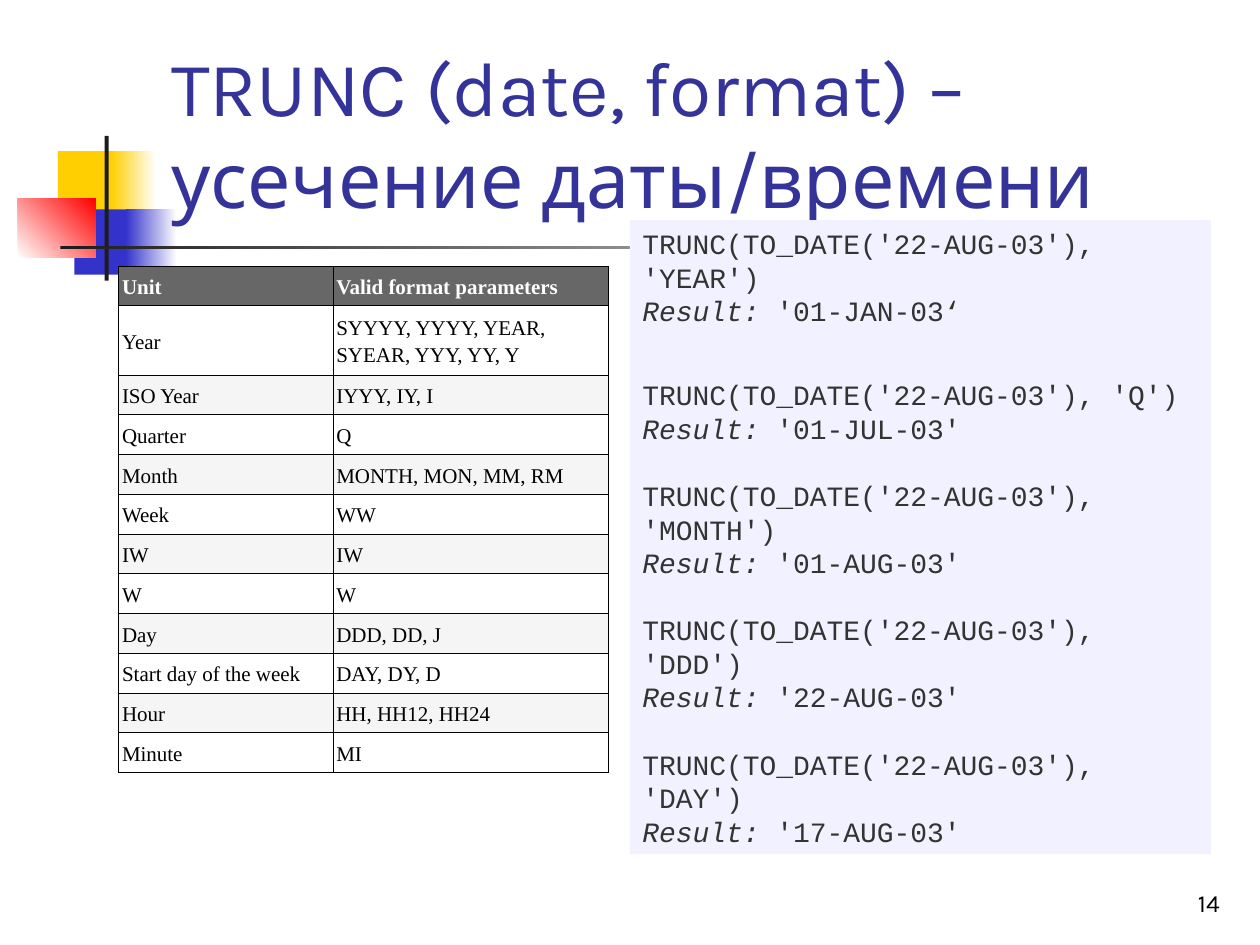
from dataclasses import dataclass

from lxml import etree
from pptx import Presentation
from pptx.dml.color import RGBColor
from pptx.enum import shapes, text
from pptx.oxml.ns import qn
from pptx.util import Cm, Pt


@dataclass(frozen=True)
class Theme:
    yellow: str = "FFCF01"
    blue: str = "3333CC"
    red: str = "FF0000"
    white: str = "FFFFFF"
    black: str = "000000"
    ink: str = "1C1C1C"
    title: str = "333399"
    header: str = "676767"
    stripe: str = "F5F5F5"
    code: str = "333333"
    code_panel: str = "F2F1FF"
    sans: str = "Karla"
    serif: str = "Times New Roman"
    mono: str = "Courier New"
    title_size: float = 44
    code_size: float = 16
    number_size: float = 14
    table_size: float = 12
    border: float = 0.45


THEME = Theme()

FORMATS = [
    ("Unit", "Valid format parameters"),
    ("Year", "SYYYY, YYYY, YEAR, SYEAR, YYY, YY, Y"),
    ("ISO Year", "IYYY, IY, I"),
    ("Quarter", "Q"),
    ("Month", "MONTH, MON, MM, RM"),
    ("Week", "WW"),
    ("IW", "IW"),
    ("W", "W"),
    ("Day", "DDD, DD, J"),
    ("Start day of the week", "DAY, DY, D"),
    ("Hour", "HH, HH12, HH24"),
    ("Minute", "MI"),
]

# Format argument, shown result, space before in points
EXAMPLES = [
    ("YEAR", "'01-JAN-03‘", 0),
    ("Q", "'01-JUL-03'", 28.8),
    ("MONTH", "'01-AUG-03'", 19.2),
    ("DDD", "'22-AUG-03'", 19.2),
    ("DAY", "'17-AUG-03'", 19.2),
]


def rgb(value):
    return RGBColor.from_string(value)


def add_span(para, words, font, size, color, bold=False, italic=False):
    span = para.add_run()
    span.text = words
    span.font.name = font
    span.font.size = Pt(size)
    span.font.color.rgb = rgb(color)
    span.font.bold = bold
    span.font.italic = italic


def add_block(page, left, top, width, height, *colors, angle=0):
    """Add a borderless rectangle: one colour is solid, two make a gradient."""
    block = page.shapes.add_shape(
        shapes.MSO_SHAPE.RECTANGLE, Cm(left), Cm(top), Cm(width), Cm(height))
    block.shadow.inherit = False
    block.line.fill.background()
    if len(colors) == 1:
        block.fill.solid()
        block.fill.fore_color.rgb = rgb(colors[0])
    else:
        block.fill.gradient()
        block.fill.gradient_angle = angle
        for stop, color in zip(block.fill.gradient_stops, colors):
            stop.color.rgb = rgb(color)
    return block


def add_emblem(page):
    t = THEME
    add_block(page, 1.17, 3.05, 1.22, 1.32, t.yellow)
    add_block(page, 2.24, 3.05, 0.91, 1.32, t.yellow, t.white)
    add_block(page, 1.5, 4.22, 1.17, 1.32, t.blue)
    add_block(page, 2.54, 4.22, 1.02, 1.32, t.blue, t.white)
    add_block(page, 0.36, 4.01, 1.57, 1.19, t.white, t.red, angle=45)
    add_block(page, 2.11, 2.74, 0.08, 2.92, t.ink)
    add_block(page, 1.22, 4.95, 22.86, 0.08, t.ink, t.white)


def set_title(page, words):
    """Fill the title placeholder and bring it in front of the emblem."""
    title = page.shapes.title
    title.left, title.top = Cm(3.2), Cm(0.58)
    title.width, title.height = Cm(21.64), Cm(4.06)
    frame = title.text_frame
    frame.word_wrap = True
    frame.auto_size = text.MSO_AUTO_SIZE.NONE
    frame.vertical_anchor = text.MSO_ANCHOR.BOTTOM
    para = frame.paragraphs[0]
    para.alignment = text.PP_ALIGN.LEFT
    add_span(para, words, THEME.sans, THEME.title_size, THEME.title)
    page.shapes.element.append(title.element)


def add_borders(cell):
    props = cell._tc.get_or_add_tcPr()
    for index, side in enumerate(("lnL", "lnR", "lnT", "lnB")):
        line = etree.Element(qn(f"a:{side}"), w=str(Pt(THEME.border)))
        fill = etree.SubElement(line, qn("a:solidFill"))
        etree.SubElement(fill, qn("a:srgbClr"), val=THEME.black)
        props.insert(index, line)


def fill_cell(cell, words, row):
    is_header = row == 0
    if is_header or row % 2 == 0:
        cell.fill.solid()
        cell.fill.fore_color.rgb = rgb(THEME.header if is_header else THEME.stripe)
    else:
        cell.fill.background()
    add_borders(cell)
    cell.vertical_anchor = text.MSO_ANCHOR.MIDDLE
    cell.margin_left = Cm(0.07)
    cell.margin_right = cell.margin_top = cell.margin_bottom = Cm(0.13)
    para = cell.text_frame.paragraphs[0]
    para.line_spacing = 1.15
    para.space_after = Pt(9.6)
    add_span(para, words, THEME.serif, THEME.table_size,
             THEME.white if is_header else THEME.black, bold=is_header)


def add_format_table(page):
    table = page.shapes.add_table(
        len(FORMATS), 2, Cm(2.39), Cm(5.36), Cm(9.88), Cm(9.76)).table
    for column, width in zip(table.columns, (4.32, 5.56)):
        column.width = Cm(width)
    for row, entries in enumerate(FORMATS):
        table.rows[row].height = Cm(1.4 if row == 1 else 0.76)
        for column, words in enumerate(entries):
            fill_cell(table.cell(row, column), words, row)


def add_page_number(page, number):
    box = page.shapes.add_textbox(Cm(19.56), Cm(17.35), Cm(5.28), Cm(1.27))
    box.text_frame.word_wrap = True
    box.text_frame.vertical_anchor = text.MSO_ANCHOR.BOTTOM
    para = box.text_frame.paragraphs[0]
    para.alignment = text.PP_ALIGN.RIGHT
    add_span(para, number, THEME.sans, THEME.number_size, THEME.black)


def add_code_panel(page):
    panel = add_block(page, 12.7, 4.44, 11.71, 12.78, THEME.code_panel)
    frame = panel.text_frame
    frame.word_wrap = True
    frame.auto_size = text.MSO_AUTO_SIZE.SHAPE_TO_FIT_TEXT
    frame.vertical_anchor = text.MSO_ANCHOR.MIDDLE
    style = (THEME.mono, THEME.code_size, THEME.code)
    for index, (unit, result, gap) in enumerate(EXAMPLES):
        call = frame.add_paragraph() if index else frame.paragraphs[0]
        call.space_before = Pt(gap)
        add_span(call, f"TRUNC(TO_DATE('22-AUG-03'), '{unit}')", *style)
        answer = frame.add_paragraph()
        add_span(answer, "Result:", *style, italic=True)
        add_span(answer, f" {result}", *style)
        call.alignment = answer.alignment = text.PP_ALIGN.LEFT


def main():
    deck = Presentation()
    deck.slide_width, deck.slide_height = Cm(25.4), Cm(19.05)
    page = deck.slides.add_slide(deck.slide_layouts.get_by_name("Title Only"))
    add_emblem(page)
    set_title(page, "TRUNC (date, format) – усечение даты/времени")
    add_format_table(page)
    add_page_number(page, "14")
    add_code_panel(page)
    deck.save("out.pptx")


if __name__ == "__main__":
    main()
